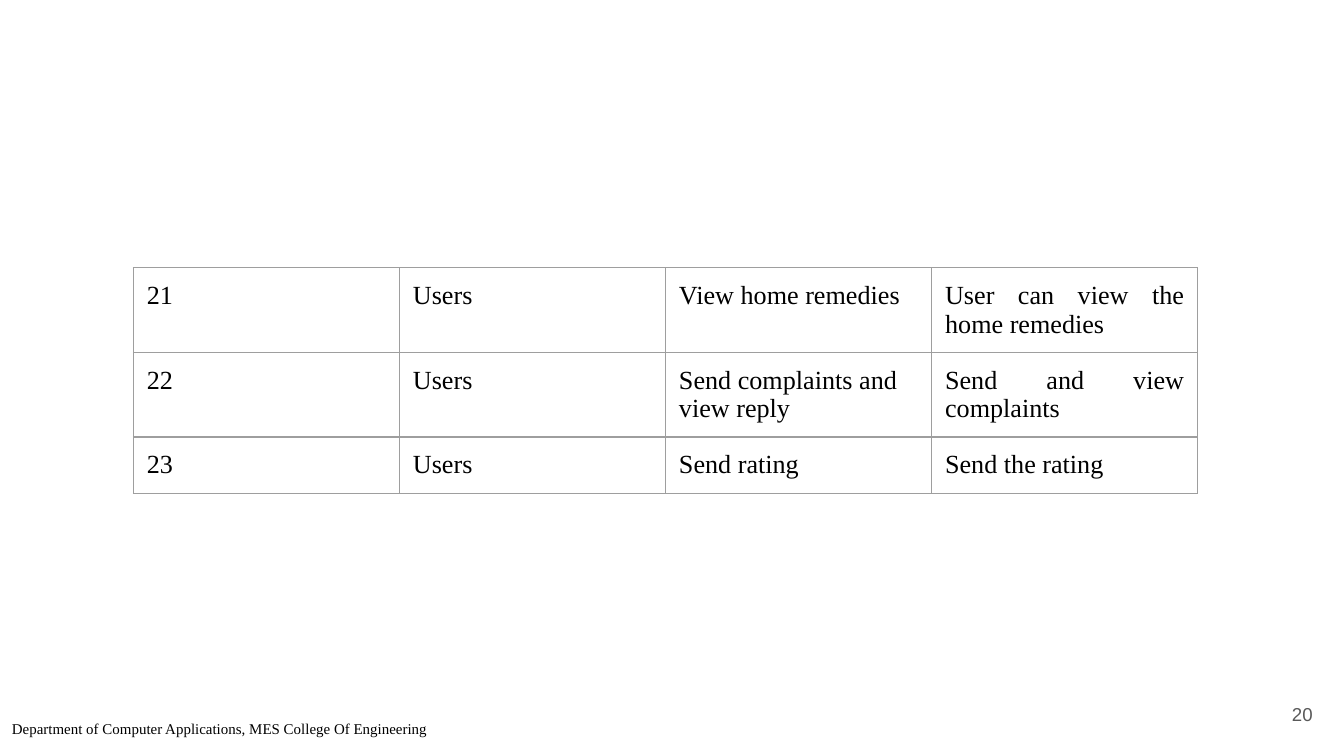
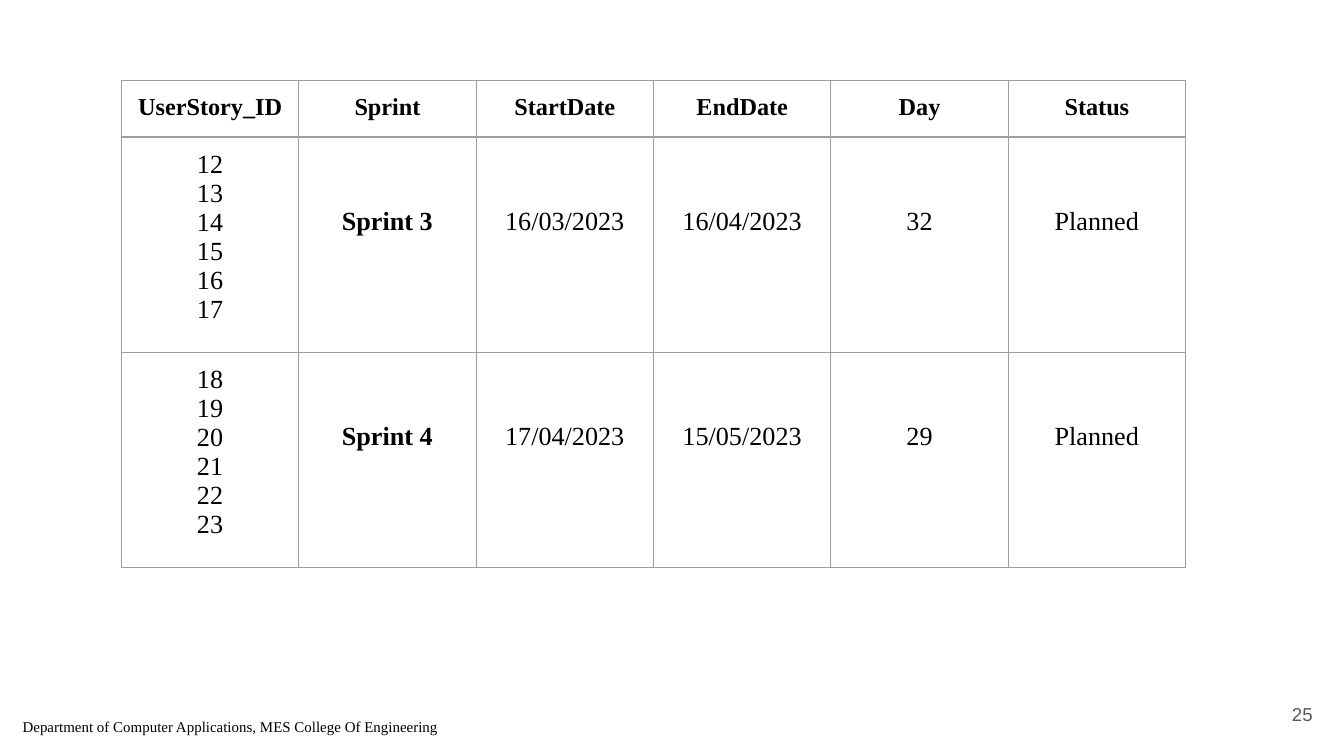
from lxml import etree
from pptx import Presentation
from pptx import util as u
from pptx.dml.color import RGBColor
from pptx.enum import text as t
from pptx.oxml.ns import qn

COLOURS = {"background": "FFFFFF", "text": "000000", "number": "595959", "border": "9E9E9E"}
SERIF, SANS = "Times New Roman", "Arial"
SLIDE_WIDTH = u.Inches(10)
SLIDE_HEIGHT = SLIDE_WIDTH * 9 // 16
INSET = 0.1
FOOTER_INSET = 0.13
LINE_HEIGHT = 0.21  # one 14 pt line, in inches
SIDES = ("left", "right", "top", "bottom")

BODY = {"name": SERIF, "size": u.Pt(14), "bold": False}
BOLD = {**BODY, "bold": True}
HEADER = {**BOLD, "size": u.Pt(13)}
FOOTER = {**BODY, "size": u.Pt(8)}
NUMBER = {**BODY, "name": SANS, "size": u.Pt(10)}

LEFT, CENTER, RIGHT, JUSTIFY = (
    t.PP_ALIGN.LEFT, t.PP_ALIGN.CENTER, t.PP_ALIGN.RIGHT, t.PP_ALIGN.JUSTIFY)

FOOTER_TEXT = "Department of Computer Applications, MES College Of Engineering"
NUMBER_BOX = (92.65, 90.67, 6, 7.65)

STORIES = [
    ["21", "Users", "View home remedies", "User can view the home remedies"],
    ["22", "Users", "Send complaints and view reply", "Send and view complaints"],
    ["23", "Users", "Send rating", "Send the rating"],
]
SPRINT_HEADINGS = ["UserStory_ID", "Sprint", "StartDate", "EndDate", "Day", "Status"]
SPRINTS = [
    [range(12, 18), "Sprint 3", "16/03/2023", "16/04/2023", "32", "Planned"],
    [range(18, 24), "Sprint 4", "17/04/2023", "15/05/2023", "29", "Planned"],
]


def to_slide(box):
    """Turn left, top, width, height in percent of the slide into lengths."""
    sizes = (SLIDE_WIDTH, SLIDE_HEIGHT) * 2
    return [round(share * size / 100) for share, size in zip(box, sizes)]


def set_margins(target, top=INSET):
    for side in SIDES:
        setattr(target, f"margin_{side}", u.Inches(top if side == "top" else INSET))


def write(frame, lines, style, alignment, colour="text"):
    for index, line in enumerate(lines):
        paragraph = frame.add_paragraph() if index else frame.paragraphs[0]
        paragraph.alignment = alignment
        run = paragraph.add_run()
        run.text = str(line)
        for name, value in style.items():
            setattr(run.font, name, value)
        run.font.color.rgb = RGBColor.from_string(COLOURS[colour])


def add_label(slide, box, words, style, alignment, colour, top, frame_format):
    frame = slide.shapes.add_textbox(*to_slide(box)).text_frame
    set_margins(frame, top)
    for name, value in {"word_wrap": True, **frame_format}.items():
        setattr(frame, name, value)
    write(frame, [words], style, alignment, colour)


def add_footer(slide, box, number):
    add_label(slide, box, FOOTER_TEXT, FOOTER, LEFT, "text", FOOTER_INSET,
              {"auto_size": t.MSO_AUTO_SIZE.SHAPE_TO_FIT_TEXT})
    add_label(slide, NUMBER_BOX, number, NUMBER, RIGHT, "number", INSET,
              {"vertical_anchor": t.MSO_ANCHOR.MIDDLE})


def add_borders(cell):
    properties = cell._tc.get_or_add_tcPr()
    for index, side in enumerate("LRTB"):
        line = etree.Element(qn(f"a:ln{side}"), w=str(u.Pt(0.75)))
        fill = etree.SubElement(line, qn("a:solidFill"))
        etree.SubElement(fill, qn("a:srgbClr"), val=COLOURS["border"])
        properties.insert(index, line)


def add_grid(slide, box, row_weights, column_count):
    """Add an unfilled, bordered table with equal columns and weighted rows."""
    left, top, width, height = to_slide(box)
    table = slide.shapes.add_table(
        len(row_weights), column_count, left, top, width, height).table
    table.first_row = table.horz_banding = False
    for column in table.columns:
        column.width = round(width / column_count)
    for row, weight in zip(table.rows, row_weights):
        row.height = round(height * weight / sum(row_weights))
    for cell in table.iter_cells():
        cell.fill.background()
        set_margins(cell)
        add_borders(cell)
    return table


def add_story_table(slide, box):
    table = add_grid(slide, box, (3, 3, 2), len(STORIES[0]))
    for row, story in enumerate(STORIES):
        for column, words in enumerate(story):
            alignment = JUSTIFY if column == len(story) - 1 else LEFT
            write(table.cell(row, column).text_frame, [words], BODY, alignment)


def add_sprint_table(slide, box):
    table = add_grid(slide, box, (0.42, 1.6, 1.6), len(SPRINT_HEADINGS))
    for column, heading in enumerate(SPRINT_HEADINGS):
        write(table.cell(0, column).text_frame, [heading], HEADER, CENTER)
    for row, (story_ids, *details) in enumerate(SPRINTS, 1):
        write(table.cell(row, 0).text_frame, story_ids, BODY, CENTER)
        for column, words in enumerate(details, 1):
            cell = table.cell(row, column)
            set_margins(cell, top=INSET + 2 * LINE_HEIGHT)  # level with the third ID
            write(cell.text_frame, [words], BOLD if column == 1 else BODY, CENTER)


def add_slide(presentation):
    slide = presentation.slides.add_slide(presentation.slide_layouts[6])
    fill = slide.background.fill
    fill.solid()
    fill.fore_color.rgb = RGBColor.from_string(COLOURS["background"])
    return slide


def build_story_slide(presentation):
    slide = add_slide(presentation)
    add_story_table(slide, (9.92, 35.4, 79.2, 29.87))
    add_footer(slide, (-0.1, 93.75, 55.7, 8.36), 20)


def build_sprint_slide(presentation):
    slide = add_slide(presentation)
    add_sprint_table(slide, (9.03, 10.67, 79.2, 64.3))
    add_footer(slide, (0.7, 93.5, 48.7, 8.36), 25)


def main():
    presentation = Presentation()
    presentation.slide_width, presentation.slide_height = SLIDE_WIDTH, SLIDE_HEIGHT
    build_story_slide(presentation)
    build_sprint_slide(presentation)
    presentation.save("out.pptx")


if __name__ == "__main__":
    main()
